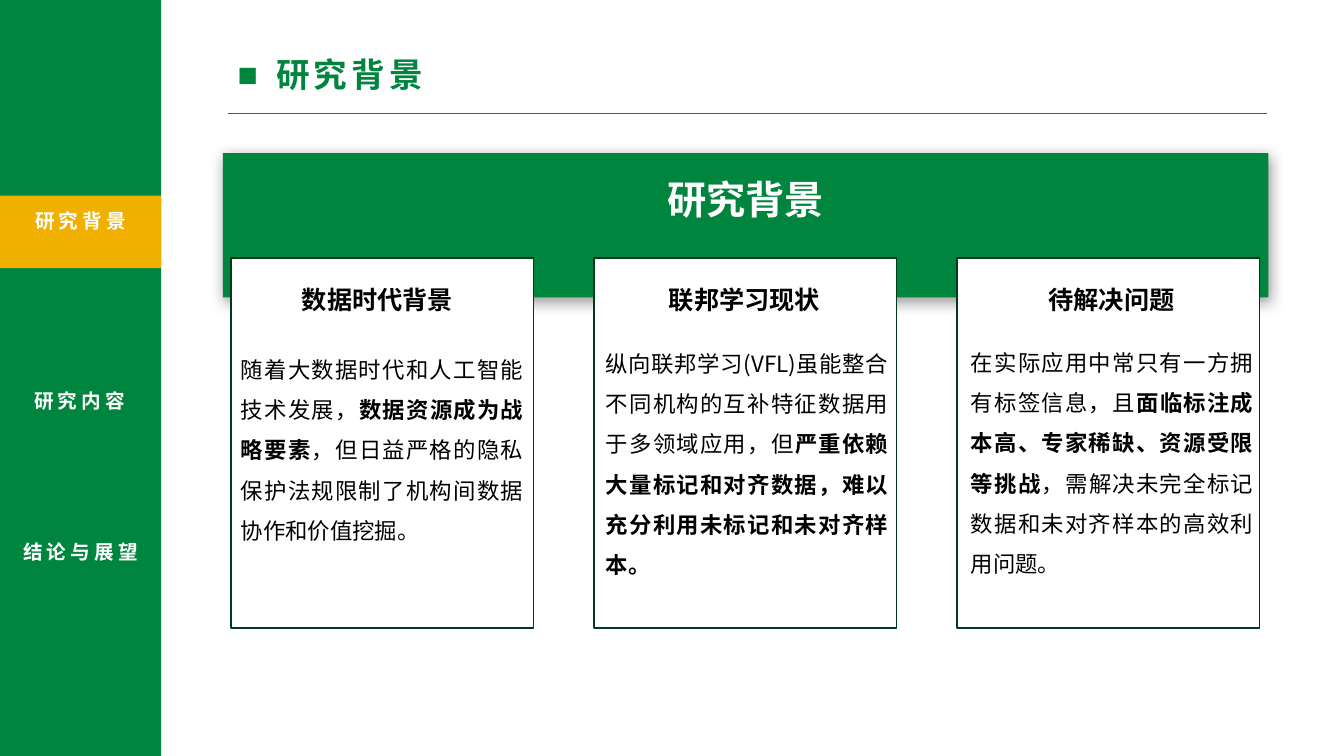
from lxml.etree import SubElement
from pptx import Presentation
from pptx.dml.color import RGBColor
from pptx.enum.shapes import MSO_CONNECTOR as Connector, MSO_SHAPE as Shape
from pptx.enum.text import MSO_AUTO_SIZE as AutoSize, PP_ALIGN as Align
from pptx.oxml.ns import qn
from pptx.util import Pt

PX = 9144  # 100 px to the inch
FONT = "Noto Sans CJK SC"
GREEN = RGBColor(0x00, 0x85, 0x3E)
DARK_GREEN = RGBColor(0x00, 0x3A, 0x1B)
AMBER = RGBColor(0xF1, 0xB0, 0x00)
WHITE = RGBColor(0xFF, 0xFF, 0xFF)
BLACK = RGBColor(0x00, 0x00, 0x00)

# label, left, top, width, height, alignment
NAV_ITEMS = [
    ("研究背景", 0, 198, 160, 36, Align.CENTER),
    ("研究内容", 24, 376, 124, 38, Align.LEFT),
    ("结论与展望", 0, 526, 160, 38, Align.CENTER),
]

# heading, body top, body height, body runs (text, bold)
CARDS = [
    ("数据时代背景", 335, 212, [
        ("随着大数据时代和人工智能技术发展，", False),
        ("数据资源成为战略要素", True),
        ("，但日益严格的隐私保护法规限制了机构间数据协作和价值挖掘。", False),
    ]),
    ("联邦学习现状", 329, 252, [
        ("纵向联邦学习(VFL)虽能整合不同机构的互补特征数据用于多领域应用，但", False),
        ("严重依赖大量标记和对齐数据，难以充分利用未标记和未对齐样本。", True),
    ]),
    ("待解决问题", 328, 252, [
        ("在实际应用中常只有一方拥有标签信息，且", False),
        ("面临标注成本高、专家稀缺、资源受限等挑战", True),
        ("，需解决未完全标记数据和未对齐样本的高效利用问题。", False),
    ]),
]


def px(*lengths):
    return [length * PX for length in lengths]


def add_rect(page, left, top, width, height, fill, line=None):
    rect = page.shapes.add_shape(Shape.RECTANGLE, *px(left, top, width, height))
    rect.shadow.inherit = False
    rect.fill.solid()
    rect.fill.fore_color.rgb = fill
    if line is None:
        rect.line.fill.background()
    else:
        rect.line.color.rgb = line
        rect.line.width = Pt(1)
    return rect


def add_soft_shadow(rect):
    effects = rect._element.spPr.find(qn("a:effectLst"))
    shadow = SubElement(effects, qn("a:outerShdw"), blurRad=str(Pt(10)),
                        dist=str(Pt(3)), dir=str(67 * 60000),
                        algn="tl", rotWithShape="0")
    color = SubElement(shadow, qn("a:srgbClr"), val=str(BLACK))
    SubElement(color, qn("a:alpha"), val="40000")


def add_rule(page, left, right, y):
    rule = page.shapes.add_connector(Connector.STRAIGHT, *px(left, y, right, y))
    rule.line.color.rgb = GREEN
    rule.line.width = Pt(0.5)
    SubElement(rule._element.spPr, qn("a:effectLst"))


def add_text(page, left, top, width, height, runs, size, color,
             align=Align.CENTER, line_spacing=None, tracking=None):
    """Add a one-paragraph text box from (text, bold) runs."""
    box = page.shapes.add_textbox(*px(left, top, width, height))
    frame = box.text_frame
    frame.word_wrap = True
    frame.auto_size = AutoSize.SHAPE_TO_FIT_TEXT
    para = frame.paragraphs[0]
    para.alignment = align
    if line_spacing:
        para.line_spacing = line_spacing
    for text, bold in runs:
        span = para.add_run()
        span.text = text
        span.font.size = Pt(size)
        span.font.bold = bold
        span.font.color.rgb = color
        span.font.name = FONT
        props = span.font._element
        SubElement(props, qn("a:ea"), typeface=FONT)
        if tracking:
            props.set("spc", str(tracking * 100))
    return para


def add_square_bullet(para, indent):
    props = para._p.get_or_add_pPr()
    props.set("marL", str(indent * PX))
    props.set("indent", str(-indent * PX))
    SubElement(props, qn("a:buFont"), typeface="Arial")
    SubElement(props, qn("a:buChar"), char="■")


def add_title(page):
    add_rule(page, 226, 1257, 112)
    para = add_text(page, 226, 49, 857, 50, [("研究背景", True)], 24, GREEN,
                    Align.LEFT, tracking=3)
    add_square_bullet(para, 38)


def add_sidebar(page):
    add_rect(page, 0, 0, 160, 750, GREEN)
    add_rect(page, 0, 194, 160, 72, AMBER)
    for label, left, top, width, height, align in NAV_ITEMS:
        add_text(page, left, top, width, height, [(label, True)], 14, WHITE,
                 align, line_spacing=1.2, tracking=3)


def add_banner(page):
    add_soft_shadow(add_rect(page, 221, 152, 1037, 143, GREEN))
    add_text(page, 221, 169, 1037, 57, [("研究背景", True)], 28, WHITE)


def add_card(page, column, heading, body_top, body_height, body):
    add_rect(page, 229 + 360 * column, 256, 300, 367, WHITE, DARK_GREEN)
    add_text(page, 248 + 364 * column, 277, 253, 40, [(heading, True)], 18, BLACK)
    add_text(page, 229 + 362 * column, body_top, 300, body_height, body, 16, BLACK,
             Align.JUSTIFY, line_spacing=1.5)


def main():
    deck = Presentation()
    deck.slide_width, deck.slide_height = px(1333, 750)
    page = deck.slides.add_slide(deck.slide_layouts[6])
    add_title(page)
    add_sidebar(page)
    add_banner(page)
    for column, card in enumerate(CARDS):
        add_card(page, column, *card)
    deck.save("out.pptx")


if __name__ == "__main__":
    main()
